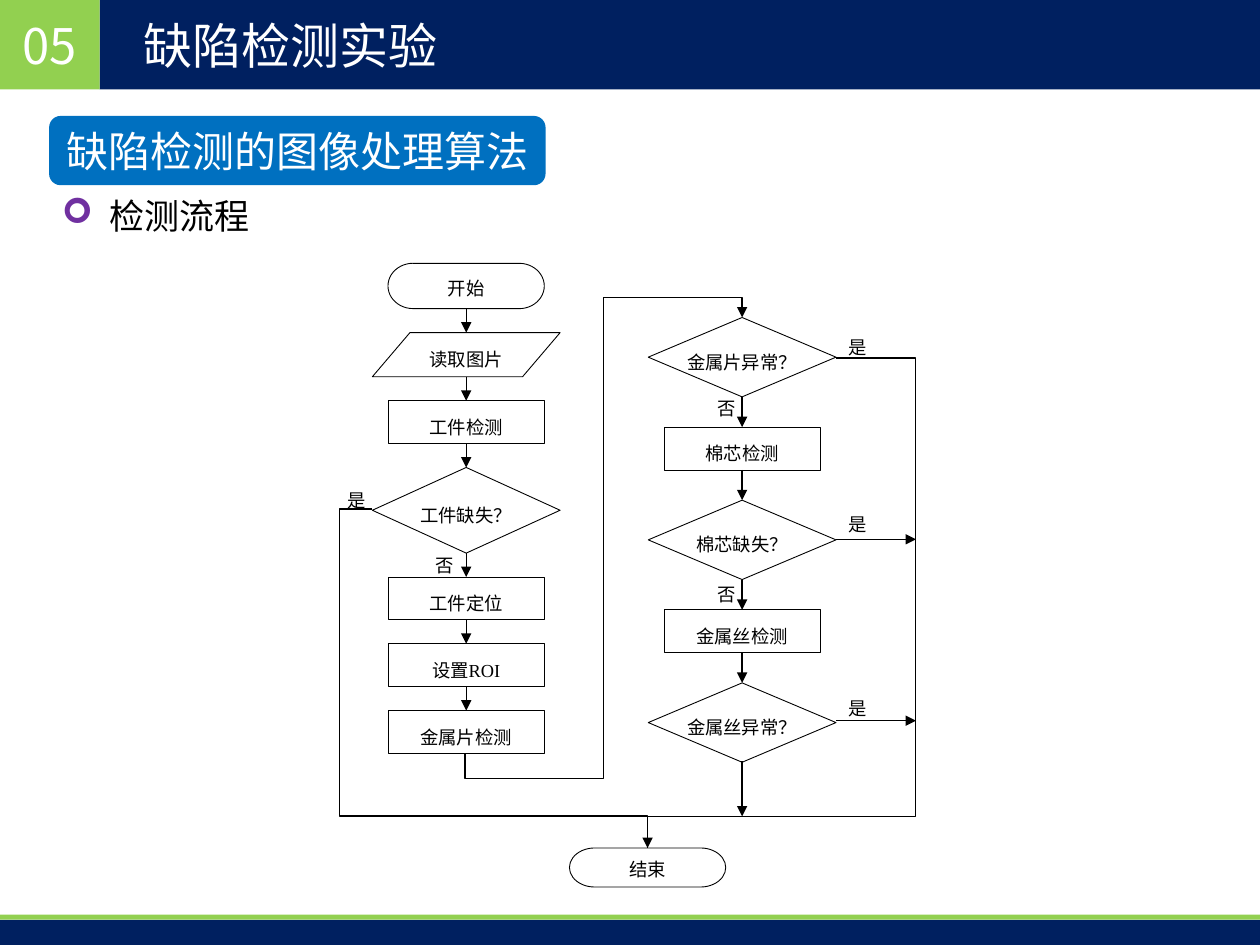
from lxml.etree import SubElement
from pptx import Presentation
from pptx.dml.color import RGBColor
from pptx.enum.shapes import MSO_CONNECTOR, MSO_SHAPE
from pptx.enum.text import MSO_ANCHOR, MSO_AUTO_SIZE, PP_ALIGN
from pptx.oxml.ns import qn
from pptx.util import Inches, Pt


def write(shape, text, size=10.5, font="Times New Roman", color="000000",
          align=PP_ALIGN.CENTER, spacing=1, margins=(0.1, 0.05, 0.1, 0.05),
          wrap=True, anchor=MSO_ANCHOR.MIDDLE, bullet=None, bullet_color="7030A0"):
    frame = shape.text_frame
    frame.auto_size = MSO_AUTO_SIZE.NONE
    frame.word_wrap = wrap
    frame.vertical_anchor = anchor
    (frame.margin_left, frame.margin_top,
     frame.margin_right, frame.margin_bottom) = [Inches(m) for m in margins]
    frame.text = text
    paragraph = frame.paragraphs[0]
    paragraph.alignment = align
    paragraph.line_spacing = spacing
    paragraph.space_before = Pt(0)
    if bullet:
        properties = paragraph._p.get_or_add_pPr()
        properties.set("marL", str(Inches(0.38)))
        properties.set("indent", str(-Inches(0.38)))
        bullet_fill = SubElement(properties, qn("a:buClr"))
        SubElement(bullet_fill, qn("a:srgbClr"), val=bullet_color)
        SubElement(properties, qn("a:buFont"), typeface="Wingdings")
        SubElement(properties, qn("a:buChar"), char=bullet)
    run_font = paragraph.runs[0].font
    run_font.size = Pt(size)
    run_font.name = font
    run_font.color.rgb = RGBColor.from_string(color)


def connect(start, end, arrow=True, bends=(), rotation=0):
    kind = MSO_CONNECTOR.ELBOW if bends else MSO_CONNECTOR.STRAIGHT
    connector = slide.shapes.add_connector(kind, *[Inches(v) for v in (*start, *end)])
    connector.line.color.rgb = RGBColor.from_string("000000")
    connector.line.width = Pt(0.75)
    properties = connector._element.spPr
    if bends:
        geometry = properties.find(qn("a:prstGeom"))
        geometry.set("prst", f"bentConnector{len(bends) + 2}")
        guides = geometry.find(qn("a:avLst"))
        for number, share in enumerate(bends, 1):
            SubElement(guides, qn("a:gd"), name=f"adj{number}",
                       fmla=f"val {round(share * 100000)}")
    if rotation:
        properties.find(qn("a:xfrm")).set("rot", str(rotation * 60000))
    if arrow:
        SubElement(connector.line._get_or_add_ln(), qn("a:tailEnd"), type="triangle")
    SubElement(properties, qn("a:effectLst"))


presentation = Presentation()
presentation.slide_width, presentation.slide_height = Inches(10), Inches(7.5)
slide = presentation.slides.add_slide(presentation.slide_layouts[1])

# Header and footer bands, section number and subtitle
GREEN, NAVY, BLUE = "92D050", "002060", "0070C0"
SANS = "Noto Sans CJK SC"
blocks = [
    (MSO_SHAPE.RECTANGLE, 0.79, 0, 9.21, 0.71, NAVY, "", {}),
    (MSO_SHAPE.RECTANGLE, 0, 0, 0.79, 0.71, GREEN, "05", {"size": 28, "font": SANS}),
    (MSO_SHAPE.RECTANGLE, 0, 7.3, 10, 0.2, NAVY, "", {}),
    (MSO_SHAPE.RECTANGLE, 0, 7.26, 10, 0.04, GREEN, "", {}),
    (MSO_SHAPE.ROUNDED_RECTANGLE, 0.39, 0.92, 3.94, 0.55, BLUE,
     "缺陷检测的图像处理算法", {"size": 24}),
]
for kind, left, top, width, height, fill, text, style in blocks:
    block = slide.shapes.add_shape(kind, *[Inches(v) for v in (left, top, width, height)])
    block.shadow.inherit = False
    block.fill.solid()
    block.fill.fore_color.rgb = RGBColor.from_string(fill)
    block.line.fill.background()
    if text:
        write(block, text, color="FFFFFF", **style)

# Title and list, brought in front of the bands
title, body = slide.placeholders[0], slide.placeholders[1]
for placeholder, box in ((title, (1.04, 0, 8.03, 0.71)), (body, (0.39, 1.49, 2.68, 0.44))):
    (placeholder.left, placeholder.top,
     placeholder.width, placeholder.height) = [Inches(v) for v in box]
    slide.shapes._spTree.append(placeholder._element)
write(title, "缺陷检测实验", size=28, font=SANS, color="FFFFFF", align=PP_ALIGN.LEFT)
write(body, "检测流程", size=20, font="Arial", align=PP_ALIGN.LEFT,
      anchor=MSO_ANCHOR.TOP, bullet="➢")

# Flowchart nodes: each column is stacked from its top with an equal gap
LEFT_X, RIGHT_X, END_X = 3.7, 5.89, 5.14
BOX, WIDE = 1.24, 1.49
MERGE_Y, END_Y, RIGHT_RAIL = 6.48, 6.73, 7.27
TERMINATOR = (MSO_SHAPE.FLOWCHART_TERMINATOR, BOX, (0.08, 0.04, 0.08, 0.04))
DATA = (MSO_SHAPE.FLOWCHART_DATA, WIDE, (0.04, 0.12, 0.04, 0.08))
PROCESS = (MSO_SHAPE.FLOWCHART_PROCESS, BOX, (0.04, 0.12, 0.04, 0.08))
DECISION = (MSO_SHAPE.FLOWCHART_DECISION, WIDE, (0, 0.04, 0, 0))
columns = [
    (LEFT_X, 2.09, 0.19, [
        (TERMINATOR, 0.36, "开始"), (DATA, 0.35, "读取图片"),
        (PROCESS, 0.34, "工件检测"), (DECISION, 0.68, "工件缺失？"),
        (PROCESS, 0.34, "工件定位"), (PROCESS, 0.34, "设置ROI"),
        (PROCESS, 0.34, "金属片检测")]),
    (RIGHT_X, 2.52, 0.24, [
        (DECISION, 0.63, "金属片异常？"), (PROCESS, 0.34, "棉芯检测"),
        (DECISION, 0.63, "棉芯缺失？"), (PROCESS, 0.34, "金属丝检测"),
        (DECISION, 0.63, "金属丝异常？")]),
    (END_X, END_Y, 0, [(TERMINATOR, 0.31, "结束")]),
]
for center, top, gap, nodes in columns:
    for index, ((kind, width, margins), height, text) in enumerate(nodes):
        if index:
            connect((center, top - gap), (center, top))
        node = slide.shapes.add_shape(
            kind, *[Inches(v) for v in (center - width / 2, top, width, height)])
        node.shadow.inherit = False
        node.fill.background()
        node.line.color.rgb = RGBColor.from_string("000000")
        node.line.width = Pt(0.5)
        write(node, text, spacing=1.2, margins=margins, wrap=False)
        top += height + gap

# Branches: to the second column, and to the end
connect((6.52, 5.35), (3.06, 3.15), bends=(-0.058, 0.501, 1.045), rotation=90)
connect((LEFT_X - WIDE / 2, 4.04), (END_X, END_Y), bends=(-0.12, 0.906))
connect((RIGHT_X + WIDE / 2, 2.84), (END_X, END_Y), arrow=False, bends=(-0.424, 0.936))
connect((RIGHT_X, 6.04), (RIGHT_X, MERGE_Y))
for level in (4.28, 5.72):
    connect((RIGHT_X + WIDE / 2, level), (RIGHT_RAIL, level))

# Yes and no labels
labels = [("是", 2.7, 3.83), ("否", 3.4, 4.34), ("否", 5.64, 3.1), ("否", 5.64, 4.57),
          ("是", 6.68, 2.61), ("是", 6.68, 4.02), ("是", 6.68, 5.48)]
for text, left, top in labels:
    label = slide.shapes.add_textbox(*[Inches(v) for v in (left, top, 0.26, 0.25)])
    write(label, text, spacing=1.2, margins=(0.04,) * 4, wrap=False)

presentation.save("out.pptx")
